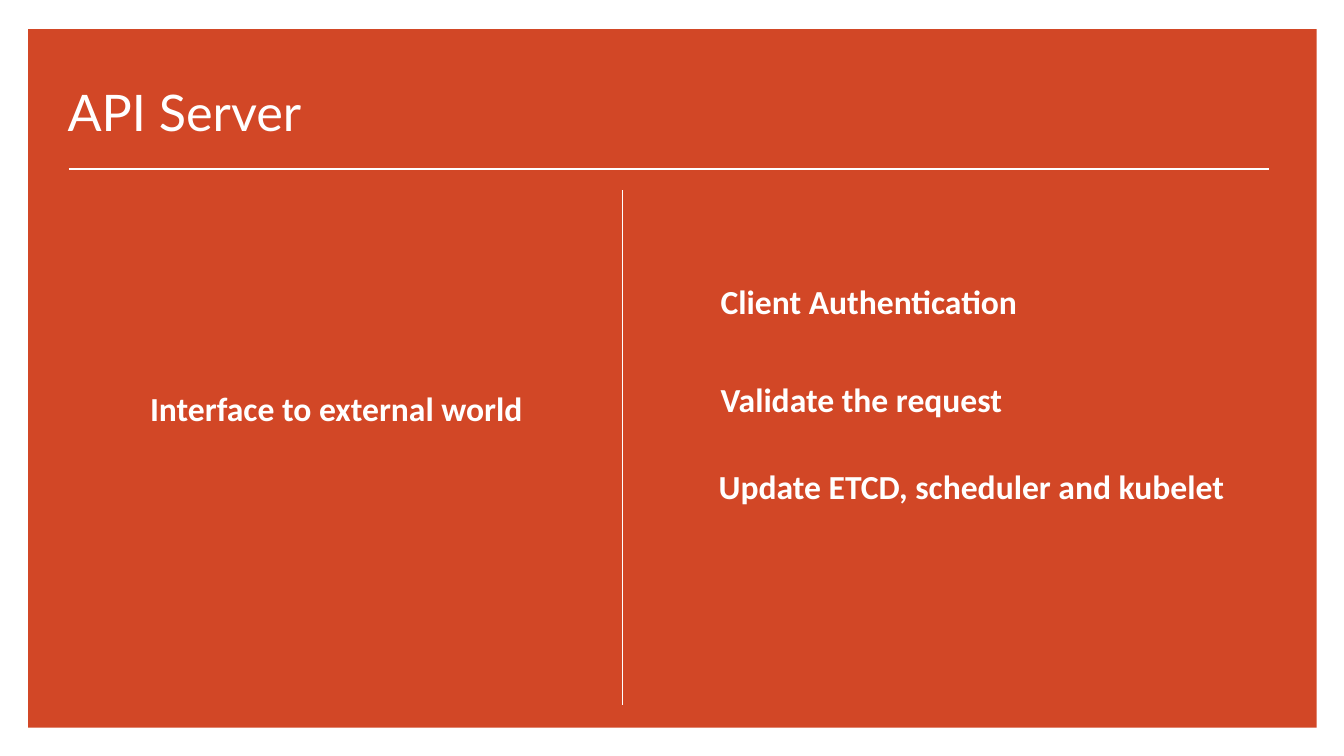
from pptx import Presentation
from pptx.dml.color import RGBColor
from pptx.enum.shapes import MSO_CONNECTOR, MSO_SHAPE
from pptx.enum.text import MSO_ANCHOR, MSO_AUTO_SIZE, PP_ALIGN
from pptx.oxml.ns import qn
from pptx.util import Inches, Pt
from lxml.etree import SubElement


def rgb(value):
    return RGBColor.from_string(value)


class SlideBuilder:
    PANEL = "D24726"
    INK = "FFFFFF"
    TITLE_FONT = "Lato"
    BODY_FONT = "Calibri"

    def __init__(self, prs):
        self.s = prs.slides.add_slide(prs.slide_layouts[5])

    def format_text(self, tf, text, font, size, bold):
        tf.text = text
        p = tf.paragraphs[0]
        p.alignment = PP_ALIGN.LEFT
        r = p.runs[0]
        r.font.name = font
        r.font.size = Pt(size)
        r.font.bold = bold
        r.font.color.rgb = rgb(self.INK)

    def panel(self, x, y, w, h):
        """Add the coloured backdrop behind the title."""
        sp = self.s.shapes.add_shape(
            MSO_SHAPE.RECTANGLE, Inches(x), Inches(y), Inches(w), Inches(h))
        sp.shadow.inherit = False
        sp.fill.solid()
        sp.fill.fore_color.rgb = rgb(self.PANEL)
        sp.line.fill.background()
        self.s.shapes.title.element.addprevious(sp.element)

    def title(self, text, x, y, w, h):
        sp = self.s.shapes.title
        sp.left, sp.top, sp.width, sp.height = map(Inches, (x, y, w, h))
        tf = sp.text_frame
        tf.auto_size = MSO_AUTO_SIZE.NONE
        tf.vertical_anchor = MSO_ANCHOR.BOTTOM
        self.format_text(tf, text, self.TITLE_FONT, 36, False)

    def line(self, x1, y1, x2, y2, width):
        cxn = self.s.shapes.add_connector(
            MSO_CONNECTOR.STRAIGHT, Inches(x1), Inches(y1), Inches(x2), Inches(y2))
        cxn.line.color.rgb = rgb(self.INK)
        cxn.line.width = Pt(width)
        SubElement(cxn.element.spPr, qn("a:effectLst"))

    def label(self, text, x, y, w=4.16):
        sp = self.s.shapes.add_textbox(Inches(x), Inches(y), Inches(w), Inches(0.5))
        tf = sp.text_frame
        tf.word_wrap = True
        tf.auto_size = MSO_AUTO_SIZE.SHAPE_TO_FIT_TEXT
        self.format_text(tf, text, self.BODY_FONT, 24, True)


def main():
    prs = Presentation()
    prs.slide_width = Inches(13.33)
    prs.slide_height = Inches(7.5)

    slide = SlideBuilder(prs)
    slide.panel(0.28, 0.29, 12.78, 6.93)
    slide.title("API Server", 0.57, 0.76, 7.52, 0.7)
    slide.line(0.68, 1.68, 12.59, 1.68, 1.5)
    slide.line(6.17, 1.89, 6.17, 6.99, 0.5)
    slide.label("Interface to external world", 1.39, 3.8)
    slide.label("Client Authentication", 7.05, 2.74)
    slide.label("Validate the request", 7.05, 3.71)
    slide.label("Update ETCD, scheduler and kubelet", 7.03, 4.57, 5.27)

    prs.save("out.pptx")


if __name__ == "__main__":
    main()
